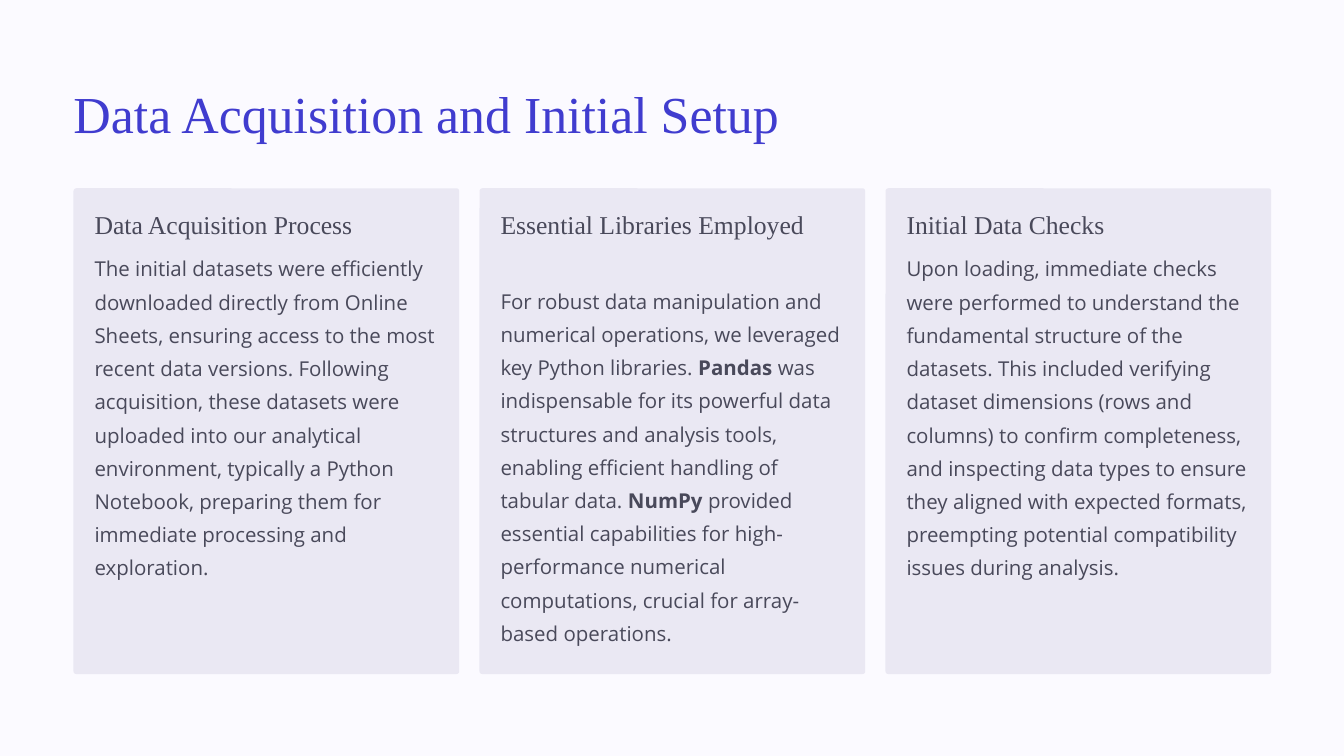
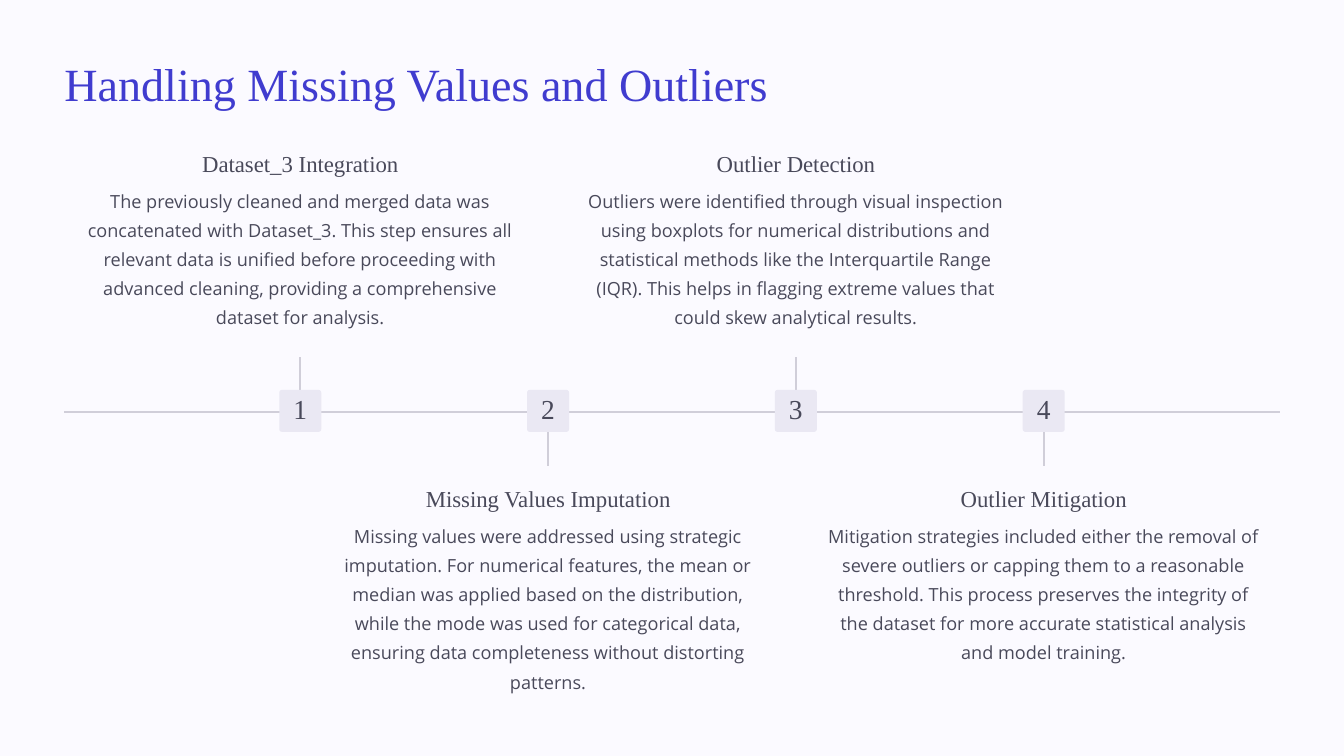
from dataclasses import dataclass

from lxml import etree
from pptx import Presentation
from pptx import util as u
from pptx.dml.color import RGBColor
from pptx.enum import shapes, text
from pptx.oxml.ns import qn

CARDS = {
    "title": "Data Acquisition and Initial Setup",
    "items": [
        ("Data Acquisition Process", 1,
         "The initial datasets were efficiently downloaded directly from Online Sheets, "
         "ensuring access to the most recent data versions. Following acquisition, these "
         "datasets were uploaded into our analytical environment, typically a Python "
         "Notebook, preparing them for immediate processing and exploration."),
        ("Essential Libraries Employed", 2,
         "For robust data manipulation and numerical operations, we leveraged key Python "
         "libraries. **Pandas** was indispensable for its powerful data structures and "
         "analysis tools, enabling efficient handling of tabular data. **NumPy** provided "
         "essential capabilities for high-performance numerical computations, crucial for "
         "array-based operations."),
        ("Initial Data Checks", 1,
         "Upon loading, immediate checks were performed to understand the fundamental "
         "structure of the datasets. This included verifying dataset dimensions (rows and "
         "columns) to confirm completeness, and inspecting data types to ensure they "
         "aligned with expected formats, preempting potential compatibility issues during "
         "analysis."),
    ],
}

TIMELINE = {
    "title": "Handling Missing Values and Outliers",
    "items": [
        ("Dataset_3 Integration",
         "The previously cleaned and merged data was concatenated with Dataset_3. This step "
         "ensures all relevant data is unified before proceeding with advanced cleaning, "
         "providing a comprehensive dataset for analysis."),
        ("Missing Values Imputation",
         "Missing values were addressed using strategic imputation. For numerical features, "
         "the mean or median was applied based on the distribution, while the mode was used "
         "for categorical data, ensuring data completeness without distorting patterns."),
        ("Outlier Detection",
         "Outliers were identified through visual inspection using boxplots for numerical "
         "distributions and statistical methods like the Interquartile Range (IQR). This "
         "helps in flagging extreme values that could skew analytical results."),
        ("Outlier Mitigation",
         "Mitigation strategies included either the removal of severe outliers or capping "
         "them to a reasonable threshold. This process preserves the integrity of the "
         "dataset for more accurate statistical analysis and model training."),
    ],
}


@dataclass(frozen=True)
class Style:
    font: str
    size: float
    leading: float
    color: str


@dataclass(frozen=True)
class Theme:
    serif: str = "Times New Roman"
    sans: str = "Open Sans"
    page: str = "FBFAFF"
    panel: str = "EAE8F3"
    rule: str = "D0CED9"
    accent: str = "403CCF"
    ink: str = "49495A"
    radius: int = 4
    rule_width: int = 3

    def title(self, size, leading):
        return Style(self.serif, size, leading, self.accent)

    def heading(self, size, leading):
        return Style(self.serif, size, leading, self.ink)

    def body(self, size, leading):
        return Style(self.sans, size, leading, self.ink)


THEME = Theme()
LEFT, CENTER = text.PP_ALIGN.LEFT, text.PP_ALIGN.CENTER


def px(n):
    return u.Emu(round(n * 9525))


def rgb(value):
    return RGBColor.from_string(value)


def write(sp, content, style, align=LEFT, anchor=text.MSO_ANCHOR.TOP):
    tf = sp.text_frame
    tf.word_wrap = True
    tf.auto_size = text.MSO_AUTO_SIZE.NONE
    tf.vertical_anchor = anchor
    tf.margin_left = tf.margin_right = tf.margin_top = tf.margin_bottom = 0
    p = tf.paragraphs[0]
    p.alignment = align
    p.line_spacing = u.Pt(style.leading)
    p.font.name = style.font
    p.font.size = u.Pt(style.size)
    p.font.color.rgb = rgb(style.color)
    for i, part in enumerate(content.split("**")):
        r = p.add_run()
        r.text = part
        if i % 2:
            r.font.bold = True


def add_text(s, box, content, style, align=LEFT):
    write(s.shapes.add_textbox(*map(px, box)), content, style, align)


def add_panel(s, box):
    sp = s.shapes.add_shape(shapes.MSO_SHAPE.ROUNDED_RECTANGLE, *map(px, box))
    sp.adjustments[0] = THEME.radius / min(box[2:])
    sp.shadow.inherit = False
    sp.fill.solid()
    sp.fill.fore_color.rgb = rgb(THEME.panel)
    sp.line.fill.background()
    return sp


def add_rule(s, *ends):
    line = s.shapes.add_connector(shapes.MSO_CONNECTOR.STRAIGHT, *map(px, ends))
    line.line.color.rgb = rgb(THEME.rule)
    line.line.width = px(THEME.rule_width)
    etree.SubElement(line._element.spPr, qn("a:effectLst"))


def add_slide(prs, title, box, style):
    s = prs.slides.add_slide(prs.slide_layouts[5])
    sp = s.shapes.title
    sp.left, sp.top, sp.width, sp.height = map(px, box)
    write(sp, title, style)
    return s


def cards_slide(prs):
    left, top, width, height, pitch = 105, 269, 551, 694, 580
    inset, heading_top, line_height, gap = 30, 297, 46, 11
    heading, body = THEME.heading(27.5, 34.4), THEME.body(21.9, 35.6)
    s = add_slide(prs, CARDS["title"], (left, 113, 1278, 96), THEME.title(55.6, 69.4))
    for i, (name, lines, detail) in enumerate(CARDS["items"]):
        x = left + i * pitch
        text_x, text_width = x + inset, width - 2 * inset
        body_top = heading_top + lines * line_height + gap
        add_panel(s, (x, top, width, height))
        add_text(s, (text_x, heading_top, text_width, lines * line_height), name, heading)
        add_text(s, (text_x, body_top, text_width, 533), detail, body)


def timeline_slide(prs):
    left, right, axis = 92, 1828, 588
    first, pitch, badge, stem, width = 429, 354, 60, 78, 622
    heading, body = THEME.heading(24.4, 30.6), THEME.body(19.4, 31.2)
    number = THEME.heading(29.4, 29.4)
    s = add_slide(prs, TIMELINE["title"], (left, 76, 1266, 84), THEME.title(49.4, 61.2))
    add_rule(s, left, axis, right, axis)
    for i, (name, detail) in enumerate(TIMELINE["items"]):
        x = first + i * pitch
        below = i % 2
        heading_top = 691 if below else 212
        add_rule(s, x, axis, x, axis + (stem if below else -stem))
        sp = add_panel(s, (x - badge / 2, axis - 1 - badge / 2, badge, badge))
        write(sp, str(i + 1), number, CENTER, text.MSO_ANCHOR.MIDDLE)
        add_text(s, (x - width / 2, heading_top, width, 42), name, heading, CENTER)
        add_text(s, (x - width / 2, heading_top + 49, width, 262 if below else 220),
                 detail, body, CENTER)


def main():
    prs = Presentation()
    prs.slide_width, prs.slide_height = px(1920), px(1080)
    fill = prs.slide_master.background.fill
    fill.solid()
    fill.fore_color.rgb = rgb(THEME.page)
    cards_slide(prs)
    timeline_slide(prs)
    prs.save("out.pptx")


if __name__ == "__main__":
    main()
